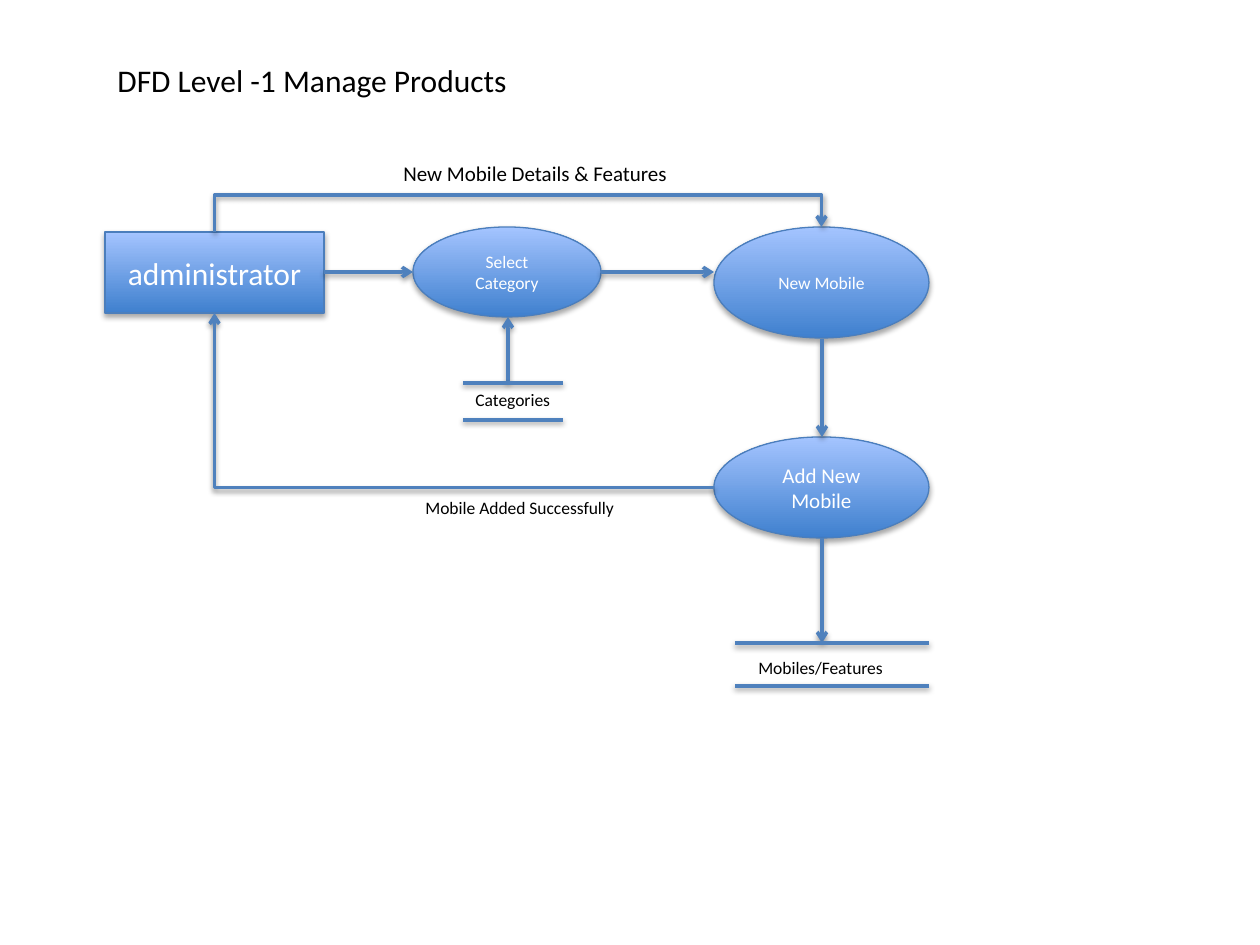
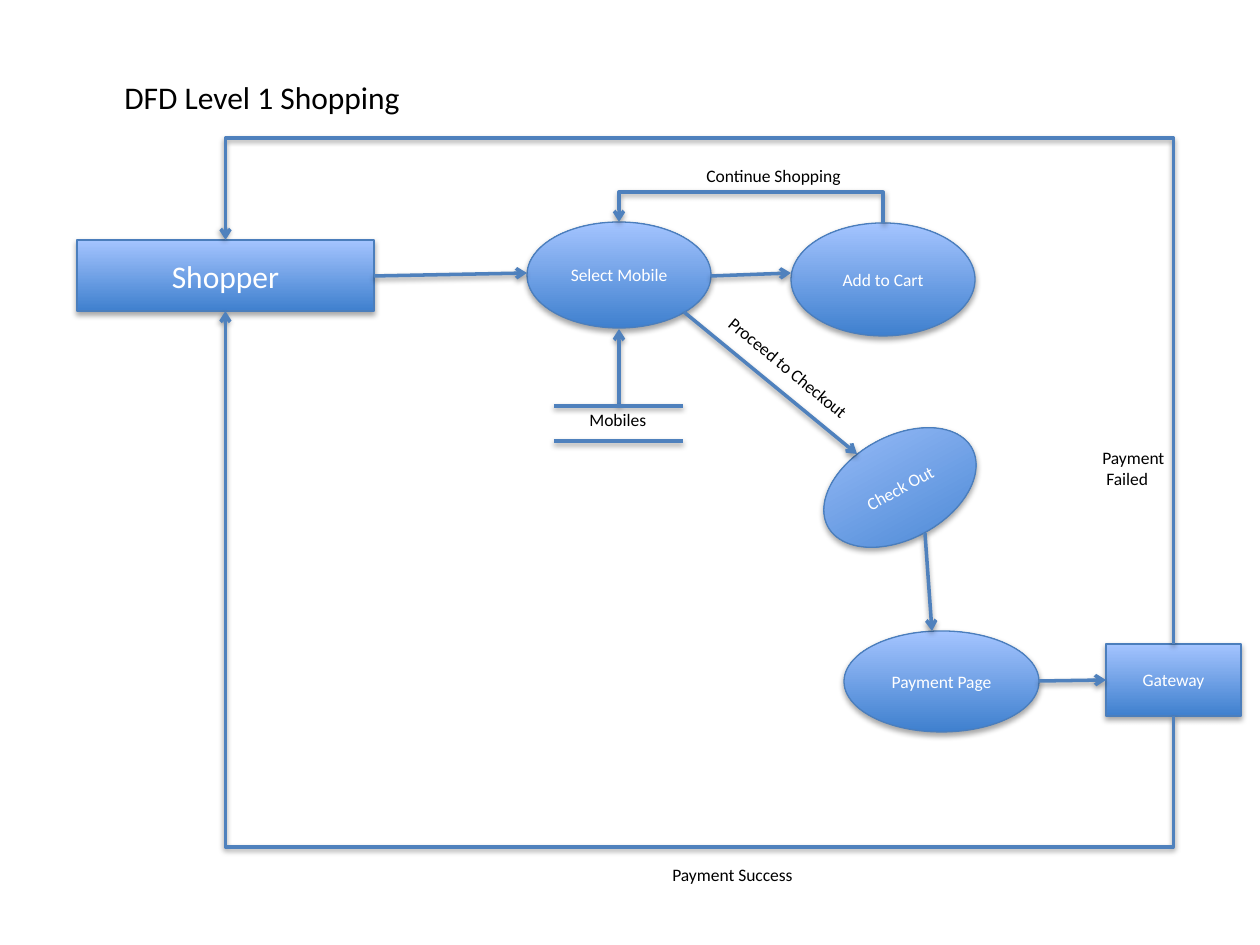
from dataclasses import dataclass

from lxml.etree import SubElement
from pptx import Presentation
from pptx.dml.color import RGBColor
from pptx.enum.shapes import MSO_CONNECTOR, MSO_SHAPE
from pptx.enum.text import MSO_ANCHOR, MSO_AUTO_SIZE, PP_ALIGN
from pptx.oxml.ns import qn
from pptx.util import Emu, Pt


@dataclass(frozen=True)
class Theme:
    """Colours, font and sizes shared by both diagrams."""
    font: str = "Calibri"
    title: int = 18
    medium: int = 12
    small: int = 10
    ink: str = "000000"
    node_text: str = "FFFFFF"
    node_low: str = "3F80CE"
    node_high: str = "A4C4FF"
    node_edge: str = "4B7EBC"
    flow: str = "4F81BD"


THEME = Theme()
SCALE = 914400 / 126
RECT, OVAL = MSO_SHAPE.RECTANGLE, MSO_SHAPE.OVAL

# Site: share of width, share of height, connection index.
# Index 2 is the bottom of a rectangle and the left of an ellipse.
SITES = {"top": (0.5, 0, 0), "bottom": (0.5, 1, 2), "left": (0, 0.5, 2)}

# nodes: text, kind, size, (left, top, width, height), rotation
# flows: x1, y1, x2, y2 of each straight arrow
# stores: left, right, upper line, lower line
# elbows: source, site, target, site, height of the rail (None: one corner)
# labels: text, size, (left, top, width, height), rotation, wrap
DIAGRAMS = [
    {
        "nodes": [
            ("administrator", RECT, THEME.title, (105, 232, 219, 81), 0),
            ("Select Category", OVAL, THEME.small, (413, 227, 188, 90), 0),
            ("New Mobile", OVAL, THEME.small, (714, 227, 215, 111), 0),
            ("Add New Mobile", OVAL, THEME.medium, (714, 437, 215, 101), 0),
        ],
        "flows": [
            (324, 272, 413, 272), (508, 383, 508, 317), (601, 272, 714, 272),
            (822, 339, 822, 437), (822, 538, 822, 643),
        ],
        "stores": [(463, 563, 383, 420), (735, 929, 643, 686)],
        "elbows": [
            ("administrator", "top", "New Mobile", "top", 195),
            ("Add New Mobile", "left", "administrator", "bottom", None),
        ],
        "labels": [
            ("Categories", THEME.small, (463, 383, 118, 34), 0, True),
            ("New Mobile Details & Features", THEME.medium, (391, 154, 294, 38), 0, False),
            ("Mobiles/Features", THEME.small, (746, 651, 152, 34), 0, False),
            ("Mobile Added Successfully", THEME.small, (413, 491, 218, 34), 0, False),
            ("DFD Level -1 Manage Products", THEME.title, (105, 55, 420, 50), 0, False),
        ],
    },
    {
        "nodes": [
            ("Shopper", RECT, THEME.title, (77, 240, 297, 71), 0),
            ("Select Mobile", OVAL, THEME.small, (527, 222, 184, 106), 0),
            ("Add to Cart", OVAL, THEME.small, (791, 223, 184, 113), 0),
            ("Check Out", OVAL, THEME.small, (818, 436, 164, 103), 331.5),
            ("Payment Page", OVAL, THEME.small, (844, 631, 195, 101), 0),
            ("Gateway", RECT, THEME.small, (1106, 644, 135, 72), 0),
        ],
        "flows": [
            (374, 276, 527, 273), (619, 406, 619, 329), (711, 276, 791, 273),
            (684, 312, 857, 454), (925, 533, 932, 631), (1039, 681, 1106, 680),
        ],
        "stores": [(554, 683, 406, 441)],
        "elbows": [
            ("Add to Cart", "top", "Select Mobile", "top", 192),
            ("Gateway", "bottom", "Shopper", "bottom", 847),
            ("Gateway", "top", "Shopper", "top", 138),
        ],
        "labels": [
            ("Mobiles", THEME.small, (577, 403, 83, 34), 0, False),
            ("Continue Shopping", THEME.small, (694, 159, 161, 34), 0, False),
            ("Proceed to Checkout", THEME.small, (702, 352, 175, 34), 39.4, False),
            ("Payment Success", THEME.small, (660, 858, 149, 34), 0, False),
            ("Payment\n Failed", THEME.small, (1090, 441, 89, 55), 0, False),
            ("DFD Level 1 Shopping", THEME.title, (112, 72, 304, 50), 0, False),
        ],
    },
]


def style_outline(part, color, width, shadow_distance, shadow_alpha, arrow=False):
    """Set the line of a shape or connector, its soft shadow and its arrowhead."""
    part.line.color.rgb = RGBColor.from_string(color)
    part.line.width = Pt(width)
    properties = part._element.spPr
    if arrow:
        SubElement(properties.find(qn("a:ln")), qn("a:tailEnd"), type="arrow")
    effects = SubElement(properties, qn("a:effectLst"))
    shadow = SubElement(effects, qn("a:outerShdw"), blurRad="40000",
                        dist=str(shadow_distance), dir="5400000", rotWithShape="0")
    black = SubElement(shadow, qn("a:srgbClr"), val="000000")
    SubElement(black, qn("a:alpha"), val=str(shadow_alpha * 1000))


def write_text(frame, text, size, color, align):
    """Fill a text frame, one paragraph for each line of the text."""
    frame.text = text
    for paragraph in frame.paragraphs:
        paragraph.alignment = align
        paragraph.font.name = THEME.font
        paragraph.font.size = Pt(size)
        paragraph.font.color.rgb = RGBColor.from_string(color)


deck = Presentation()
deck.slide_width, deck.slide_height = (Emu(round(n * SCALE)) for n in (1260, 945))

for diagram in DIAGRAMS:
    slide = deck.slides.add_slide(deck.slide_layouts[6])

    nodes = {}
    for text, kind, size, box, rotation in diagram["nodes"]:
        node = slide.shapes.add_shape(kind, *(Emu(round(n * SCALE)) for n in box))
        node.rotation = rotation
        node.fill.gradient()
        node.fill.gradient_angle = 90
        for stop, color, position in zip(node.fill.gradient_stops,
                                         (THEME.node_low, THEME.node_high), (0, 1)):
            stop.color.rgb = RGBColor.from_string(color)
            stop.position = position
        style_outline(node, THEME.node_edge, 0.75, 23000, 35)
        node.text_frame.word_wrap = True
        node.text_frame.vertical_anchor = MSO_ANCHOR.MIDDLE
        write_text(node.text_frame, text, size, THEME.node_text, PP_ALIGN.CENTER)
        nodes[text] = node

    straights = [(ends, True) for ends in diagram["flows"]]
    for left, right, upper, lower in diagram["stores"]:
        straights += [((left, y, right, y), False) for y in (upper, lower)]
    for ends, arrow in straights:
        line = slide.shapes.add_connector(
            MSO_CONNECTOR.STRAIGHT, *(Emu(round(n * SCALE)) for n in ends))
        style_outline(line, THEME.flow, 2, 20000, 38, arrow)

    for source, source_site, target, target_site, rail in diagram["elbows"]:
        elbow = slide.shapes.add_connector(MSO_CONNECTOR.ELBOW, 0, 0, 0, 0)
        points = []
        for name, site, connect in ((source, source_site, elbow.begin_connect),
                                    (target, target_site, elbow.end_connect)):
            node = nodes[name]
            across, down, index = SITES[site]
            connect(node, index)
            points.append((node.left + across * node.width, node.top + down * node.height))
        (x1, y1), (x2, y2) = points
        dx, dy = x2 - x1, y2 - y1
        geometry = elbow._element.spPr.find(qn("a:prstGeom"))
        if rail is None:
            geometry.set("prst", "bentConnector2")
            width, height, turn, flip_h, flip_v = abs(dx), abs(dy), 180, False, False
        else:
            # The path leaves vertically, so its box lies on its side.
            rise = rail * SCALE - y1
            width, height = abs(dy), abs(dx)
            turn = 270 if dx < 0 and rise < 0 else 90
            flip_h = (dy < 0) == (turn == 90)
            flip_v = (dx > 0) == (turn == 90)
            SubElement(geometry.find(qn("a:avLst")), qn("a:gd"), name="adj1",
                       fmla=f"val {round(rise / dy * 100000)}")
        elbow.left = Emu(round((x1 + x2 - width) / 2))
        elbow.top = Emu(round((y1 + y2 - height) / 2))
        elbow.width, elbow.height = Emu(round(width)), Emu(round(height))
        frame = elbow._element.spPr.find(qn("a:xfrm"))
        frame.set("rot", str(turn * 60000))
        frame.set("flipH", str(int(flip_h)))
        frame.set("flipV", str(int(flip_v)))
        style_outline(elbow, THEME.flow, 2, 20000, 38, True)

    for text, size, box, rotation, wrap in diagram["labels"]:
        label = slide.shapes.add_textbox(*(Emu(round(n * SCALE)) for n in box))
        label.rotation = rotation
        label.text_frame.word_wrap = wrap
        label.text_frame.auto_size = MSO_AUTO_SIZE.SHAPE_TO_FIT_TEXT
        write_text(label.text_frame, text, size, THEME.ink, PP_ALIGN.LEFT)

deck.save("out.pptx")
